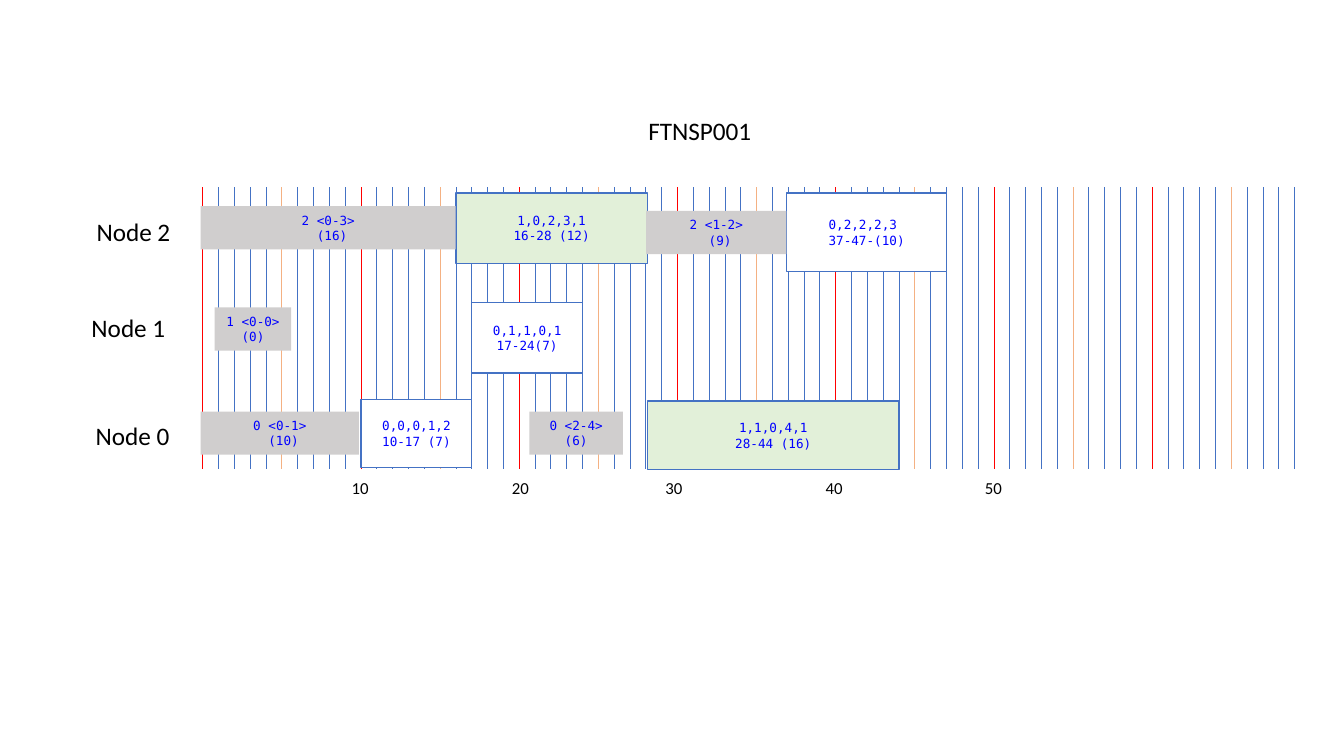
from dataclasses import dataclass

from lxml.etree import SubElement
from pptx import Presentation
from pptx.dml.color import RGBColor
from pptx.enum.shapes import MSO_CONNECTOR, MSO_SHAPE
from pptx.enum.text import MSO_ANCHOR, MSO_AUTO_SIZE, PP_ALIGN
from pptx.oxml.ns import qn
from pptx.util import Inches, Pt


@dataclass(frozen=True)
class Theme:
    label_font: str = "Calibri"
    code_font: str = "DejaVu Sans Mono"
    heading_size: float = 18
    axis_size: float = 12
    code_size: float = 9
    hairline: float = 0.5
    outline: float = 1
    black: str = "000000"
    code: str = "0000FF"
    blue: str = "4472C4"
    red: str = "FF0000"
    orange: str = "F4B183"
    white: str = "FFFFFF"
    green: str = "E2F0D9"
    grey: str = "D0CECE"


THEME = Theme()
SLIDE_WIDTH, SLIDE_HEIGHT = 13.33, 7.5
LAST_TICK = 69
LANES = 3
CHART_LEFT, CHART_RIGHT = 2.01, 12.84
CHART_TOP, CHART_BOTTOM = 1.86, 4.65
COLUMN = (CHART_RIGHT - CHART_LEFT) / LAST_TICK
ROW = (CHART_BOTTOM - CHART_TOP) / LANES

# Time columns and lane rows: column, row, columns wide, rows high, fill, lines
TASKS = [
    (10, 2.26, 7, 0.73, THEME.white, ["0,0,0,1,2", "10-17 (7)"]),
    (17, 1.23, 7, 0.75, THEME.white, ["0,1,1,0,1", "17-24(7)"]),
    (36.9, 0.06, 10.1, 0.84, THEME.white, ["0,2,2,2,3 ", "37-47-(10)"]),
    (28.1, 2.28, 15.9, 0.73, THEME.green, ["1,1,0,4,1", "28-44 (16)"]),
    (16, 0.06, 12.1, 0.75, THEME.green, ["1,0,2,3,1", "16-28 (12)"]),
]
# Column, row, columns wide, lines
TRANSFERS = [
    (20.64, 2.39, 5.92, ["0 <2-4>", "(6)"]),
    (28.03, 0.25, 8.86, ["2 <1-2>", " (9)"]),
    (-0.13, 2.39, 10, ["0 <0-1>", " (10)"]),
    (-0.13, 0.2, 16.12, ["2 <0-3>", " (16)"]),
    (0.76, 1.28, 4.84, ["1 <0-0> (0)"]),
]
TRANSFER_ROWS = 0.46
NODES = [("Node 0", -7.39, 2.43), ("Node 1", -7.65, 1.28), ("Node 2", -7.33, 0.25)]
AXIS = [("10", 8.79), ("20", 18.92), ("30", 28.61), ("40", 38.74), ("50", 48.8)]


class Schedule:
    """Draws on one slide, in time columns and lane rows from the chart's corner."""

    def __init__(self, deck, theme):
        self.theme = theme
        self.page = deck.slides.add_slide(deck.slide_layouts[5])

    def point(self, column, row):
        return Inches(CHART_LEFT + column * COLUMN), Inches(CHART_TOP + row * ROW)

    def frame(self, column, row, columns, rows):
        return *self.point(column, row), Inches(columns * COLUMN), Inches(rows * ROW)

    def set_lines(self, text_frame, lines, font, size, color, align):
        text_frame.word_wrap = True
        for index, line in enumerate(lines):
            para = text_frame.add_paragraph() if index else text_frame.paragraphs[0]
            para.alignment = align
            span = para.add_run()
            span.text = line
            span.font.name = font
            span.font.size = Pt(size)
            span.font.color.rgb = RGBColor.from_string(color)

    def set_label(self, box, text, size):
        text_frame = box.text_frame
        text_frame.vertical_anchor = MSO_ANCHOR.TOP
        text_frame.auto_size = MSO_AUTO_SIZE.SHAPE_TO_FIT_TEXT
        self.set_lines(text_frame, [text], self.theme.label_font, size,
                       self.theme.black, PP_ALIGN.LEFT)

    def title(self, text, column, row, columns, rows):
        box = self.page.shapes.title
        box.left, box.top, box.width, box.height = self.frame(column, row, columns, rows)
        self.set_label(box, text, self.theme.heading_size)

    def label(self, text, column, row, columns, rows, size):
        box = self.page.shapes.add_textbox(*self.frame(column, row, columns, rows))
        self.set_label(box, text, size)

    def tick(self, column, color):
        line = self.page.shapes.add_connector(
            MSO_CONNECTOR.STRAIGHT, *self.point(column, 0), *self.point(column, LANES))
        line.line.color.rgb = RGBColor.from_string(color)
        line.line.width = Pt(self.theme.hairline)
        SubElement(line._element.spPr, qn("a:effectLst"))

    def bar(self, column, row, columns, rows, fill, lines, outlined):
        box = self.page.shapes.add_shape(
            MSO_SHAPE.RECTANGLE, *self.frame(column, row, columns, rows))
        box.shadow.inherit = False
        box.fill.solid()
        box.fill.fore_color.rgb = RGBColor.from_string(fill)
        if outlined:
            box.line.color.rgb = RGBColor.from_string(self.theme.blue)
            box.line.width = Pt(self.theme.outline)
        else:
            box.line.fill.background()
        box.text_frame.vertical_anchor = MSO_ANCHOR.MIDDLE
        self.set_lines(box.text_frame, lines, self.theme.code_font, self.theme.code_size,
                       self.theme.code, PP_ALIGN.CENTER)


def tick_color(tick):
    if tick % 10 == 0:
        return THEME.red
    return THEME.orange if tick % 5 == 0 else THEME.blue


def main():
    deck = Presentation()
    deck.slide_width, deck.slide_height = Inches(SLIDE_WIDTH), Inches(SLIDE_HEIGHT)
    schedule = Schedule(deck, THEME)
    schedule.title("FTNSP001", 27.52, -0.82, 8.6, 0.43)
    for tick in range(LAST_TICK + 1):
        schedule.tick(tick, tick_color(tick))
    for column, row, columns, rows, fill, lines in TASKS:
        schedule.bar(column, row, columns, rows, fill, lines, outlined=True)
    for column, row, columns, lines in TRANSFERS:
        schedule.bar(column, row, columns, TRANSFER_ROWS, THEME.grey, lines, outlined=False)
    for text, column, row in NODES:
        schedule.label(text, column, row, 6.18, 0.43, THEME.heading_size)
    for text, column in AXIS:
        schedule.label(text, column, 3.04, 3.19, 0.32, THEME.axis_size)
    deck.save("out.pptx")


if __name__ == "__main__":
    main()
